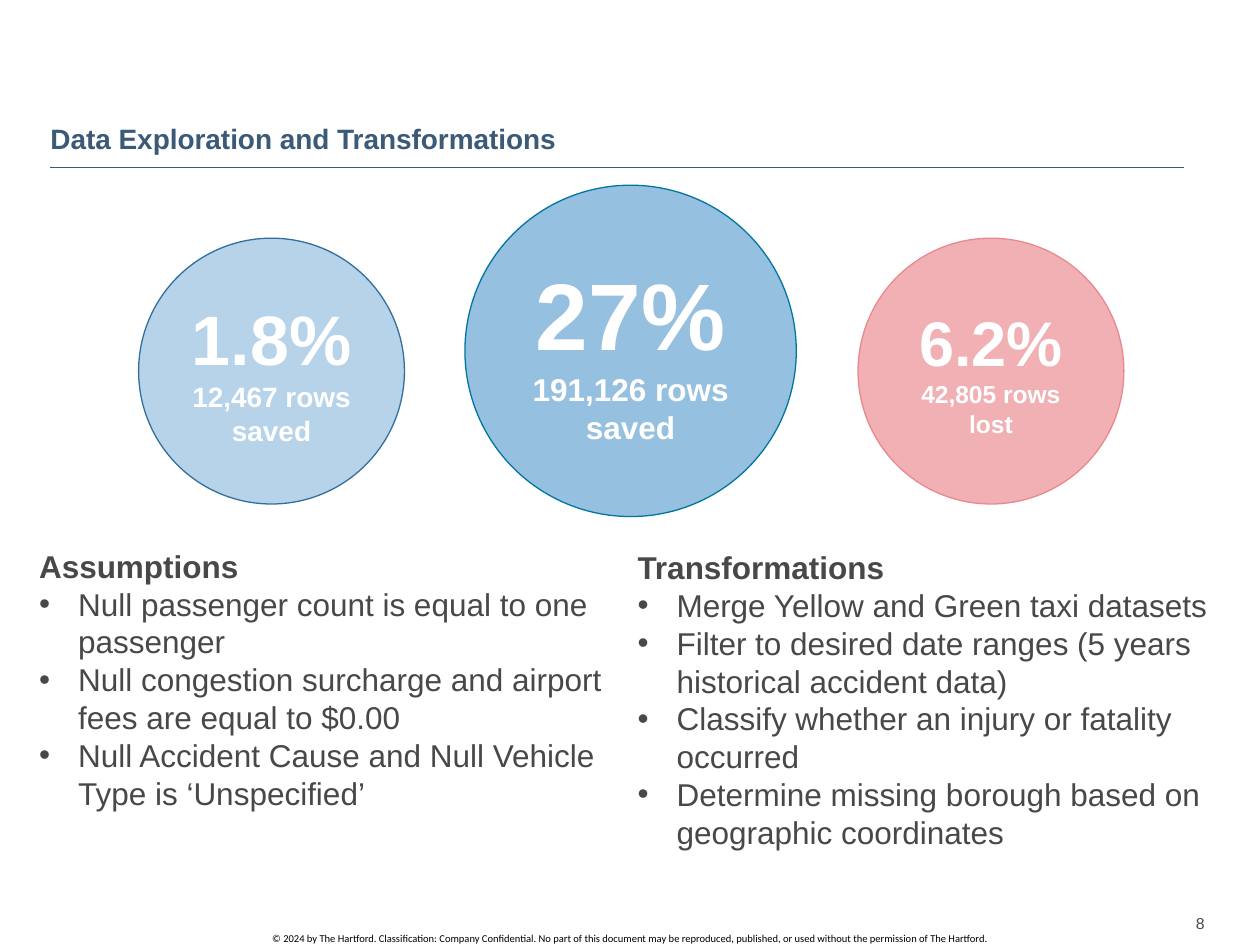
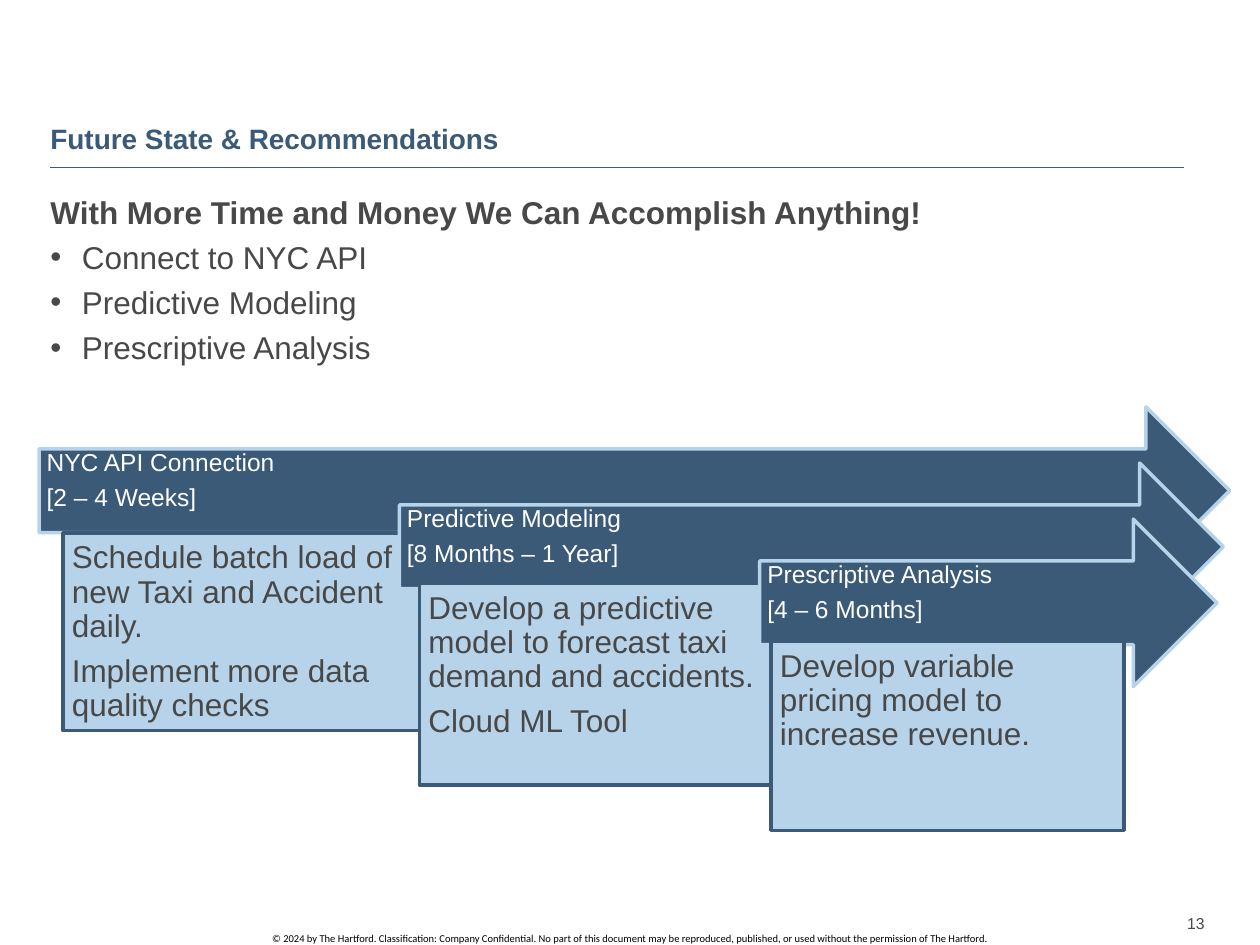
import pptx
import pptx.util
import pptx.dml.color
import pptx.enum.shapes
import pptx.enum.text
import pptx.oxml.ns
from lxml import etree

Inches = pptx.util.Inches
Pt = pptx.util.Pt
SHAPE = pptx.enum.shapes.MSO_SHAPE
ALIGN = pptx.enum.text.PP_ALIGN
ANCHOR = pptx.enum.text.MSO_ANCHOR

COLORS = {
    "navy": "3A5A78", "text": "484848", "white": "FFFFFF", "black": "000000",
    "sky": "96C0DF", "sky_edge": "0075A2",
    "pale": "B6D3E9", "pale_edge": "306F9F",
    "rose": "F1B0B3", "rose_edge": "EA888E",
}
COPYRIGHT = ("© 2024 by The Hartford. Classification: Company Confidential. "
             "No part of this document may be reproduced, published, or used "
             "without the permission of The Hartford.")
TWO_LISTS, ONE_LIST = 3, 1


def rgb(name):
    return pptx.dml.color.RGBColor.from_string(COLORS[name])


class Deck:
    """Holds the style and the slide being built."""

    def __init__(self):
        self.prs = pptx.Presentation()
        self.prs.slide_width, self.prs.slide_height = Inches(10), Inches(7.5)
        self.slide = None

    def new_slide(self, layout, title, number):
        self.slide = self.prs.slides.add_slide(self.prs.slide_layouts[layout])
        self.rule(0.4, 9.4, 1.33)
        self.text_box((2.16, 7.4, 5.71, 0.1), COPYRIGHT, 6, "black",
                      font="Calibri", insets=(0, 0, 0, 0))
        self.text_box((9.2, 7.15, 0.46, 0.35), str(number), 9, "text",
                      align=ALIGN.RIGHT, anchor=ANCHOR.MIDDLE)
        heading = self.slide.shapes.title
        self.place(heading, (0.3, 0.38, 7.87, 0.9))
        frame = self.frame(heading, ANCHOR.BOTTOM)
        self.paragraph(frame, title, 16, "navy", bold=True)

    def place(self, shape, box):
        shape.left, shape.top, shape.width, shape.height = map(Inches, box)

    def frame(self, shape, anchor=ANCHOR.TOP, insets=(0.1, 0.05, 0.1, 0.05)):
        frame = shape.text_frame
        frame.word_wrap = True
        frame.auto_size = pptx.enum.text.MSO_AUTO_SIZE.NONE
        frame.vertical_anchor = anchor
        (frame.margin_left, frame.margin_top,
         frame.margin_right, frame.margin_bottom) = map(Inches, insets)
        return frame

    def paragraph(self, frame, text, size, color, bold=False, font="Arial",
                  align=ALIGN.LEFT, before=0, after=0, spacing=1.0):
        """Fill the empty first paragraph, or append one."""
        first = frame.paragraphs[0]
        para = frame.add_paragraph() if first.runs else first
        para.alignment = align
        para.space_before, para.space_after = Pt(before), Pt(after)
        para.line_spacing = spacing
        run = para.add_run()
        run.text = text
        run.font.name, run.font.size, run.font.bold = font, Pt(size), bold
        run.font.color.rgb = rgb(color)
        return para

    def bullet(self, para, indent):
        """Give the paragraph a hanging bullet, or none when indent is 0."""
        props = para._p.get_or_add_pPr()
        props.set("marL", str(Inches(indent)))
        props.set("indent", str(-Inches(indent)))
        tag = "a:buChar" if indent else "a:buNone"
        mark = etree.SubElement(props, pptx.oxml.ns.qn(tag))
        if indent:
            mark.set("char", "•")

    def rule(self, left, right, y):
        line = self.slide.shapes.add_connector(
            pptx.enum.shapes.MSO_CONNECTOR.STRAIGHT,
            Inches(left), Inches(y), Inches(right), Inches(y))
        line.line.color.rgb, line.line.width = rgb("navy"), Pt(0.5)
        etree.SubElement(line._element.spPr, pptx.oxml.ns.qn("a:effectLst"))

    def text_box(self, box, text, size, color, font="Arial", align=ALIGN.LEFT,
                 anchor=ANCHOR.TOP, insets=(0.1, 0.05, 0.1, 0.05)):
        shape = self.slide.shapes.add_textbox(*map(Inches, box))
        frame = self.frame(shape, anchor, insets)
        self.paragraph(frame, text, size, color, font=font, align=align)

    def shape(self, kind, box, fill, edge, width):
        shape = self.slide.shapes.add_shape(kind, *map(Inches, box))
        shape.shadow.inherit = False
        shape.fill.solid()
        shape.fill.fore_color.rgb = rgb(fill)
        shape.line.color.rgb, shape.line.width = rgb(edge), Pt(width)
        return shape

    def bullet_list(self, slot, box, heading, items, indent, before=0):
        body = self.slide.placeholders[slot]
        self.place(body, box)
        frame = self.frame(body)
        self.bullet(self.paragraph(frame, heading, 18, "text", bold=True), 0)
        for item in items:
            para = self.paragraph(frame, item, 18, "text", before=before)
            self.bullet(para, indent)

    def stat_circle(self, left, top, diameter, color, share, share_size,
                    details, detail_size):
        circle = self.shape(SHAPE.FLOWCHART_CONNECTOR,
                            (left, top, diameter, diameter),
                            color, color + "_edge", 0.75)
        frame = self.frame(circle, ANCHOR.MIDDLE)
        sizes = [share_size] + [detail_size] * len(details)
        for text, size in zip([share, *details], sizes):
            self.paragraph(frame, text, size, "white", bold=True, align=ALIGN.CENTER)

    def phase_part(self, kind, box, fill, edge, texts, size, color, anchor, insets):
        part = self.shape(kind, box, fill, edge, 2)
        frame = self.frame(part, anchor, insets)
        for text in texts:
            self.paragraph(frame, text, size, color, after=0.35 * size, spacing=0.9)

    def phase(self, step, name, duration, card, tasks):
        """Draw one arrow of the staggered timeline and the card below it."""
        arrow = (0.31 + 2.86 * step, 3.23 + 0.445 * step, 9.45 - 2.91 * step, 1.33)
        self.phase_part(SHAPE.RIGHT_ARROW, arrow, "navy", "pale",
                        [name, duration], 14, "white", ANCHOR.MIDDLE,
                        (0.06, 0.06, 0.28, 0.21))
        self.phase_part(SHAPE.RECTANGLE, card, "pale", "navy", tasks, 18, "text",
                        ANCHOR.TOP, (0.07,) * 4)


def exploration_slide(deck):
    deck.new_slide(TWO_LISTS, "Data Exploration and Transformations", 8)
    deck.stat_circle(3.69, 1.47, 2.63, "sky", "27%", 54,
                     ["191,126 rows", "saved"], 18)
    deck.stat_circle(1.1, 1.89, 2.11, "pale", "1.8%", 40,
                     ["12,467 rows", "saved"], 16)
    deck.stat_circle(6.81, 1.89, 2.11, "rose", "6.2%", 36,
                     ["42,805 rows", "lost"], 14)
    deck.bullet_list(1, (0.21, 4.29, 4.79, 2.22), "Assumptions", [
        "Null passenger count is equal to one passenger",
        "Null congestion surcharge and airport fees are equal to $0.00",
        "Null Accident Cause and Null Vehicle Type is ‘Unspecified’",
    ], 0.31)
    deck.bullet_list(2, (4.96, 4.3, 4.79, 2.52), "Transformations", [
        "Merge Yellow and Green taxi datasets",
        "Filter to desired date ranges (5 years historical accident data)",
        "Classify whether an injury or fatality occurred",
        "Determine missing borough based on geographic coordinates",
    ], 0.31)


def future_slide(deck):
    deck.new_slide(ONE_LIST, "Future State & Recommendations", 13)
    deck.bullet_list(1, (0.3, 1.48, 9.1, 5.25),
                     "With More Time and Money We Can Accomplish Anything!",
                     ["Connect to NYC API", "Predictive Modeling",
                      "Prescriptive Analysis"], 0.25, before=4.2)
    phases = [
        ("NYC API Connection", "[2 – 4 Weeks]", (0.5, 4.23, 2.84, 1.57),
         ["Schedule batch load of new Taxi and Accident daily.",
          "Implement more data quality checks"]),
        ("Predictive Modeling", "[8 Months – 1 Year]", (3.33, 4.63, 2.8, 1.6),
         ["Develop a predictive model to forecast taxi demand and accidents.",
          "Cloud ML Tool"]),
        ("Prescriptive Analysis", "[4 – 6 Months]", (6.12, 5.09, 2.8, 1.5),
         ["Develop variable pricing model to increase revenue."]),
    ]
    for step, phase in enumerate(phases):
        deck.phase(step, *phase)


def main():
    deck = Deck()
    exploration_slide(deck)
    future_slide(deck)
    deck.prs.save("out.pptx")


if __name__ == "__main__":
    main()
